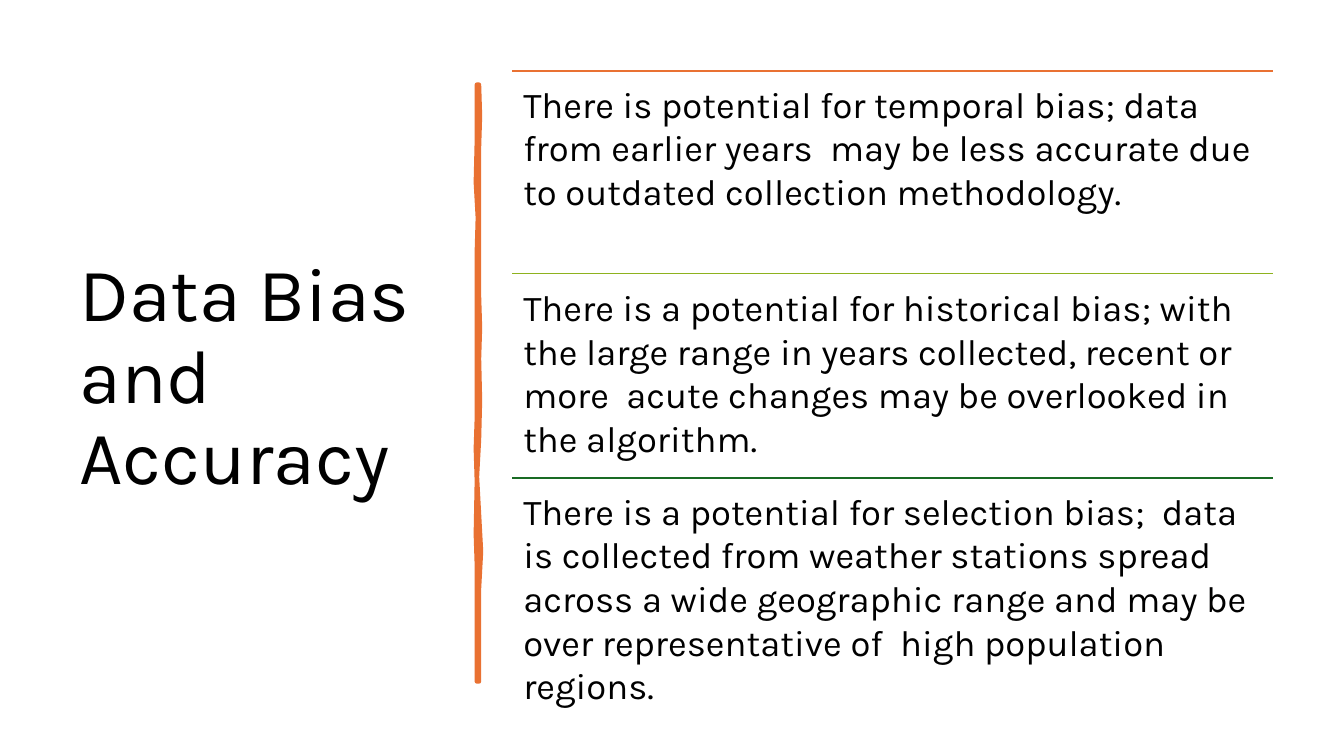
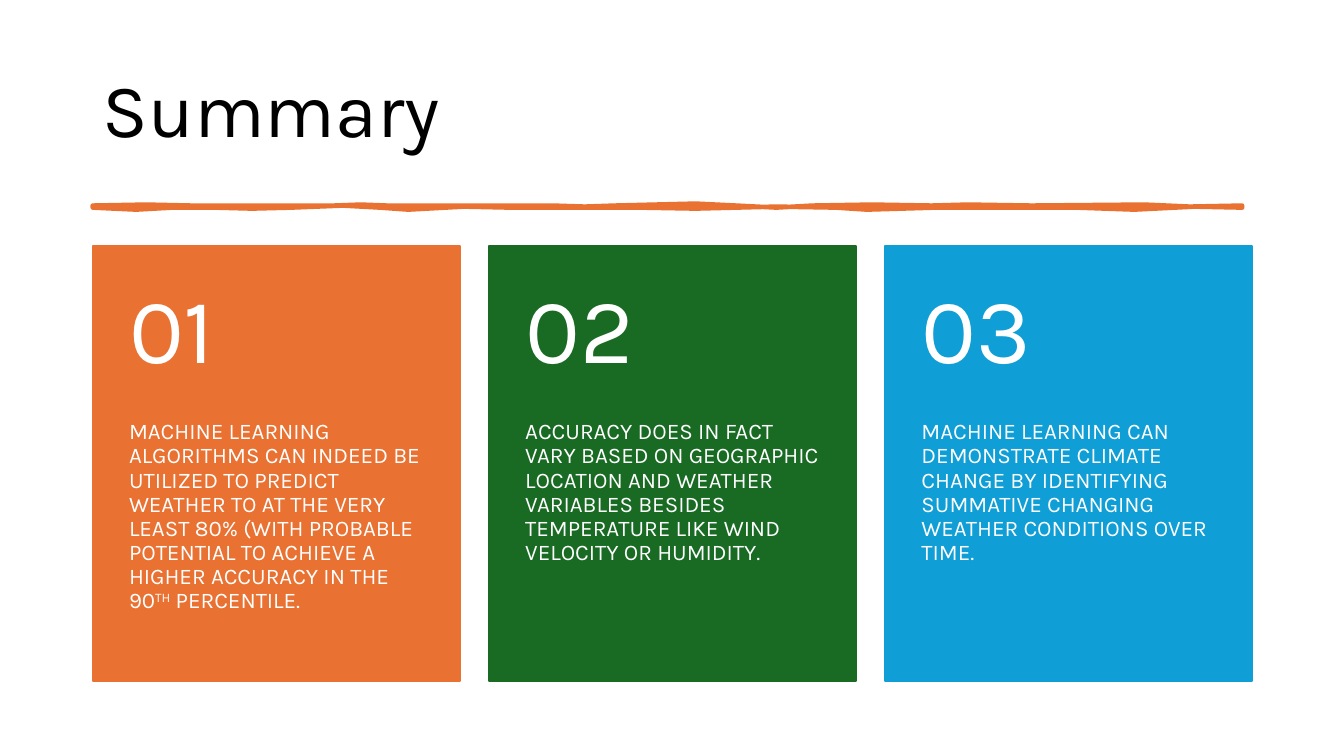
from lxml.etree import SubElement
from pptx import Presentation
from pptx.dml.color import RGBColor
from pptx.enum.shapes import MSO_CONNECTOR, MSO_SHAPE
from pptx.enum.text import MSO_ANCHOR
from pptx.oxml.ns import qn
from pptx.util import Pt

SCALE = 9144
SLIDE_WIDTH, SLIDE_HEIGHT = 1333, 750
FONT = "Karla"
BLACK = RGBColor(0x00, 0x00, 0x00)
WHITE = RGBColor(0xFF, 0xFF, 0xFF)
ORANGE = RGBColor(0xE9, 0x71, 0x32)
LIME = RGBColor(0x8E, 0xB2, 0x1E)
GREEN = RGBColor(0x19, 0x6B, 0x24)
BLUE = RGBColor(0x0F, 0x9E, 0xD5)

VERTICAL_STROKE = [
    (475, 84), (476, 115), (475, 146), (475, 294), (476, 325), (475, 356),
    (476, 397), (475, 436), (473, 473), (475, 510), (477, 547), (475, 584),
    (475, 676), (473, 676), (473, 560), (472, 530), (473, 477), (472, 445),
    (473, 415), (473, 250), (474, 216), (472, 181), (473, 140), (473, 84),
]
HORIZONTAL_STROKE = [
    (92, 204), (145, 203), (190, 204), (331, 204), (358, 203), (384, 204),
    (548, 204), (580, 205), (610, 204), (690, 202), (730, 204), (770, 206),
    (806, 204), (865, 203), (924, 204), (960, 203), (1023, 204), (1135, 203),
    (1180, 205), (1232, 204), (1232, 206), (1185, 205), (1125, 208),
    (1068, 206), (928, 206), (860, 208), (829, 206), (770, 205), (690, 207),
    (635, 206), (506, 206), (460, 205), (405, 208), (377, 206), (340, 204),
    (289, 206), (250, 207), (213, 206), (171, 206), (135, 208), (92, 206),
]
BIASES = [
    (ORANGE, None, "There is potential for temporal bias; data from earlier years  "
     "may be less accurate due to outdated collection methodology."),
    (LIME, WHITE, "There is a potential for historical bias; with the large range in "
     "years collected, recent or more  acute changes may be overlooked in the algorithm."),
    (GREEN, None, "There is a potential for selection bias;  data is collected from "
     "weather stations spread across a wide geographic range and may be over "
     "representative of  high population regions."),
]
FINDINGS = [
    (ORANGE, ("MACHINE LEARNING ALGORITHMS CAN INDEED BE UTILIZED TO PREDICT WEATHER TO "
              "AT THE VERY LEAST 80% (WITH PROBABLE POTENTIAL TO ACHIEVE A HIGHER "
              "ACCURACY IN THE 90", "TH", " PERCENTILE.")),
    (GREEN, ("ACCURACY DOES IN FACT VARY BASED ON GEOGRAPHIC LOCATION AND WEATHER "
             "VARIABLES BESIDES TEMPERATURE LIKE WIND VELOCITY OR HUMIDITY.",)),
    (BLUE, ("MACHINE LEARNING CAN DEMONSTRATE CLIMATE CHANGE BY IDENTIFYING SUMMATIVE "
            "CHANGING WEATHER CONDITIONS OVER TIME.",)),
]


def px(*lengths):
    """Turn pixel lengths into EMU."""
    return [length * SCALE for length in lengths]


class Deck:
    """Hold the shared style and the slide being built."""

    def __init__(self):
        """Start an empty widescreen presentation."""
        self.presentation = Presentation()
        self.presentation.slide_width, self.presentation.slide_height = px(
            SLIDE_WIDTH, SLIDE_HEIGHT)
        self.slide = None

    def add_slide(self):
        """Add a blank slide and make it current."""
        self.slide = self.presentation.slides.add_slide(
            self.presentation.slide_layouts[6])

    def text(self, box, parts, size, color, insets, anchor=MSO_ANCHOR.TOP,
             spacing=0.9, fill=None):
        """Add a wrapped paragraph, raising every second part."""
        shape = self.slide.shapes.add_textbox(*px(*box))
        if fill is not None:
            shape.fill.solid()
            shape.fill.fore_color.rgb = fill
        frame = shape.text_frame
        frame.word_wrap = True
        frame.vertical_anchor = anchor
        (frame.margin_left, frame.margin_top,
         frame.margin_right, frame.margin_bottom) = px(*insets)
        paragraph = frame.paragraphs[0]
        paragraph.line_spacing = spacing
        paragraph.font.name = FONT
        paragraph.font.size = Pt(size)
        paragraph.font.color.rgb = color
        for index, part in enumerate(parts):
            run = paragraph.add_run()
            run.text = part
            if index % 2:
                run.font._element.set("baseline", "30000")

    def title(self, box, text):
        """Add the slide title."""
        self.text(box, [text], 54, BLACK, (10, 5, 10, 5), MSO_ANCHOR.MIDDLE)

    def paint(self, shape, color, width):
        """Give a shape one colour for fill and line, without shadow."""
        shape.shadow.inherit = False
        shape.fill.solid()
        shape.fill.fore_color.rgb = color
        shape.line.color.rgb = color
        shape.line.width = Pt(width)

    def brush_stroke(self, points):
        """Add a hand-drawn orange stroke with round corners."""
        builder = self.slide.shapes.build_freeform(*points[0], scale=SCALE)
        builder.add_line_segments(points[1:], close=True)
        shape = builder.convert_to_shape()
        self.paint(shape, ORANGE, 3.25)
        SubElement(shape.line._get_or_add_ln(), qn("a:round"))

    def rule(self, left, top, width, color):
        """Add a thin horizontal line."""
        line = self.slide.shapes.add_connector(
            MSO_CONNECTOR.STRAIGHT, *px(left, top, left + width, top))
        line.line.color.rgb = color
        line.line.width = Pt(1.5)
        SubElement(line._element.spPr, qn("a:effectLst"))

    def card(self, left, top, width, color, number, parts):
        """Add a coloured card with a large number above its text."""
        number_height, body_height = 173, 259
        card = self.slide.shapes.add_shape(
            MSO_SHAPE.RECTANGLE, *px(left, top, width, number_height + body_height))
        self.paint(card, color, 1.5)
        self.text((left, top + number_height, width, body_height), parts, 16, WHITE,
                  (36, 0, 36, 36))
        self.text((left, top, width, number_height), [f"{number:02}"], 66, WHITE,
                  (36, 18, 36, 18), MSO_ANCHOR.MIDDLE)


def main():
    """Build both slides and save them."""
    deck = Deck()

    deck.add_slide()
    deck.title((69, 70, 374, 611), "Data Bias and Accuracy")
    deck.brush_stroke(VERTICAL_STROKE)
    left, top, width, height = 508, 70, 755, 202
    for row, (color, fill, text) in enumerate(BIASES):
        row_top = top + row * height
        deck.rule(left, row_top, width, color)
        deck.text((left, row_top, width, height), [text], 26, BLACK,
                  (11, 11, 11, 11), spacing=1.0, fill=fill)

    deck.add_slide()
    deck.title((92, 40, 1150, 145), "Summary")
    deck.brush_stroke(HORIZONTAL_STROKE)
    left, top, width, gap = 92, 244, 364, 29
    for column, (color, parts) in enumerate(FINDINGS):
        deck.card(left + column * (width + gap), top, width, color, column + 1, parts)

    deck.presentation.save("out.pptx")


if __name__ == "__main__":
    main()
